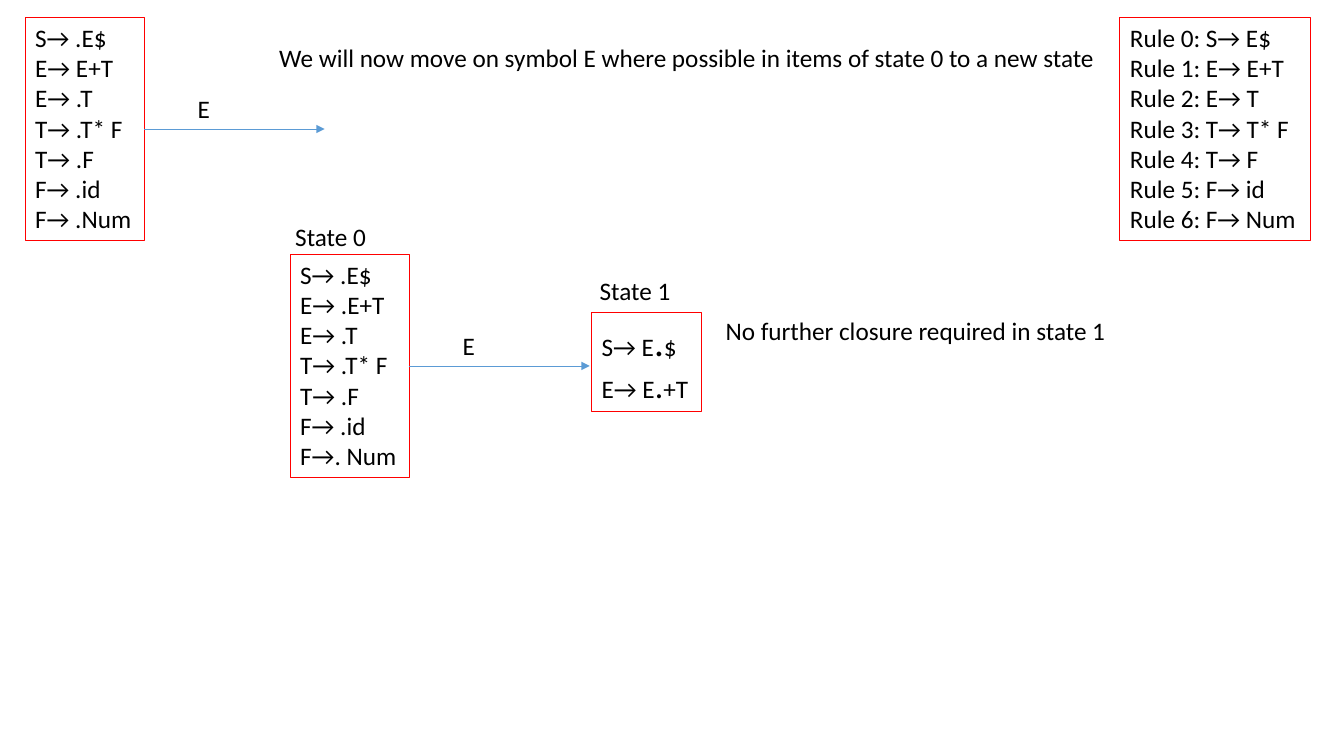
from pptx import Presentation
from pptx.dml.color import RGBColor as RGB
from pptx.enum.shapes import MSO_CONNECTOR as CONN, MSO_SHAPE as SHAPE
from pptx.enum.text import MSO_ANCHOR as ANCHOR, MSO_AUTO_SIZE as FIT, PP_ALIGN as ALIGN
from pptx.oxml.ns import qn
from pptx.util import Inches, Pt
from lxml.etree import SubElement

COLORS = {"text": "000000", "paper": "FFFFFF", "frame": "FF0000", "arrow": "5B9BD5"}
LABEL_H = 5.33
ITEMS_W, ITEMS_H = 8.85, 29.6
ARROW_W = 13.43


class ParserSlide:
    """Draws LR item sets on one slide, with lengths in percent of its size."""

    def __init__(self, prs):
        self.width, self.height = prs.slide_width, prs.slide_height
        self.font, self.size = "Calibri", 18
        self.s = prs.slides.add_slide(prs.slide_layouts[6])

    def x(self, share):
        return round(self.width * share / 100)

    def y(self, share):
        return round(self.height * share / 100)

    def area(self, x, y, w, h):
        return self.x(x), self.y(y), self.x(w), self.y(h)

    def color(self, name):
        return RGB.from_string(COLORS[name])

    def fill_text(self, sp, lines, wrap):
        tf = sp.text_frame
        tf.word_wrap = wrap
        tf.auto_size = FIT.SHAPE_TO_FIT_TEXT
        tf.vertical_anchor = ANCHOR.TOP
        for i, line in enumerate(lines):
            p = tf.add_paragraph() if i else tf.paragraphs[0]
            p.alignment = ALIGN.LEFT
            runs = [(line, self.size)] if isinstance(line, str) else line
            for text, size in runs:
                r = p.add_run()
                r.text = text
                r.font.name = self.font
                r.font.size = Pt(size)
                r.font.color.rgb = self.color("text")

    def label(self, text, x, y, w, h=LABEL_H, wrap=False):
        self.fill_text(self.s.shapes.add_textbox(*self.area(x, y, w, h)), [text], wrap)

    def box(self, lines, x, y, w, h):
        sp = self.s.shapes.add_shape(SHAPE.RECTANGLE, *self.area(x, y, w, h))
        sp.shadow.inherit = False
        sp.fill.solid()
        sp.fill.fore_color.rgb = self.color("paper")
        sp.line.color.rgb = self.color("frame")
        sp.line.width = Pt(0.75)
        self.fill_text(sp, lines, False)

    def arrow(self, x, y, length):
        start, end, level = self.x(x), self.x(x + length), self.y(y)
        sp = self.s.shapes.add_connector(CONN.STRAIGHT, start, level, end, level)
        sp.line.color.rgb = self.color("arrow")
        sp.line.width = Pt(0.5)
        props = sp._element.spPr
        SubElement(props.find(qn("a:ln")), qn("a:tailEnd"), type="triangle")
        SubElement(props, qn("a:effectLst"))

    def transition(self, items, symbol, x, y):
        self.box(items, x, y, ITEMS_W, ITEMS_H)
        self.arrow(x + ITEMS_W, y + ITEMS_H / 2, ARROW_W)
        self.label(symbol, x + 12.08, y + 9.47, 2.4)


def main():
    prs = Presentation()
    prs.slide_width, prs.slide_height = Inches(13.33), Inches(7.5)
    slide = ParserSlide(prs)

    shared = ["E→ .T", "T→ .T* F", "T→ .F", "F→ .id"]
    slide.transition(["S→ .E$", "E→ .E+T", *shared, "F→. Num"], "E", 21.6, 33.6)
    slide.label("We will now move on symbol E where possible in items of state 0 to a new state",
                20.03, 4.93, 62.85, 9.47)
    slide.transition(["S→ .E$", "E→ E+T", *shared, "F→ .Num"], "E", 1.88, 2.27)

    state_1 = [[("S→ E", 18), (".", 28), ("$", 18)],
               [("E→ E", 18), (".", 24), ("+T", 18)]]
    slide.box(state_1, 44.03, 41.33, 8.18, 13.07)
    slide.label("State 0", 21.23, 28.67, ITEMS_W, wrap=True)
    slide.label("State 1", 43.88, 35.73, ITEMS_W, wrap=True)
    slide.label("No further closure required in state 1", 53.25, 41.07, 30.15)

    rules = ["S→ E$", "E→ E+T", "E→ T", "T→ T* F", "T→ F", "F→ id", "F→ Num"]
    slide.box([f"Rule {n}: {rule}" for n, rule in enumerate(rules)],
              83.33, 2.27, 14.18, ITEMS_H)

    prs.save("out.pptx")


if __name__ == "__main__":
    main()
